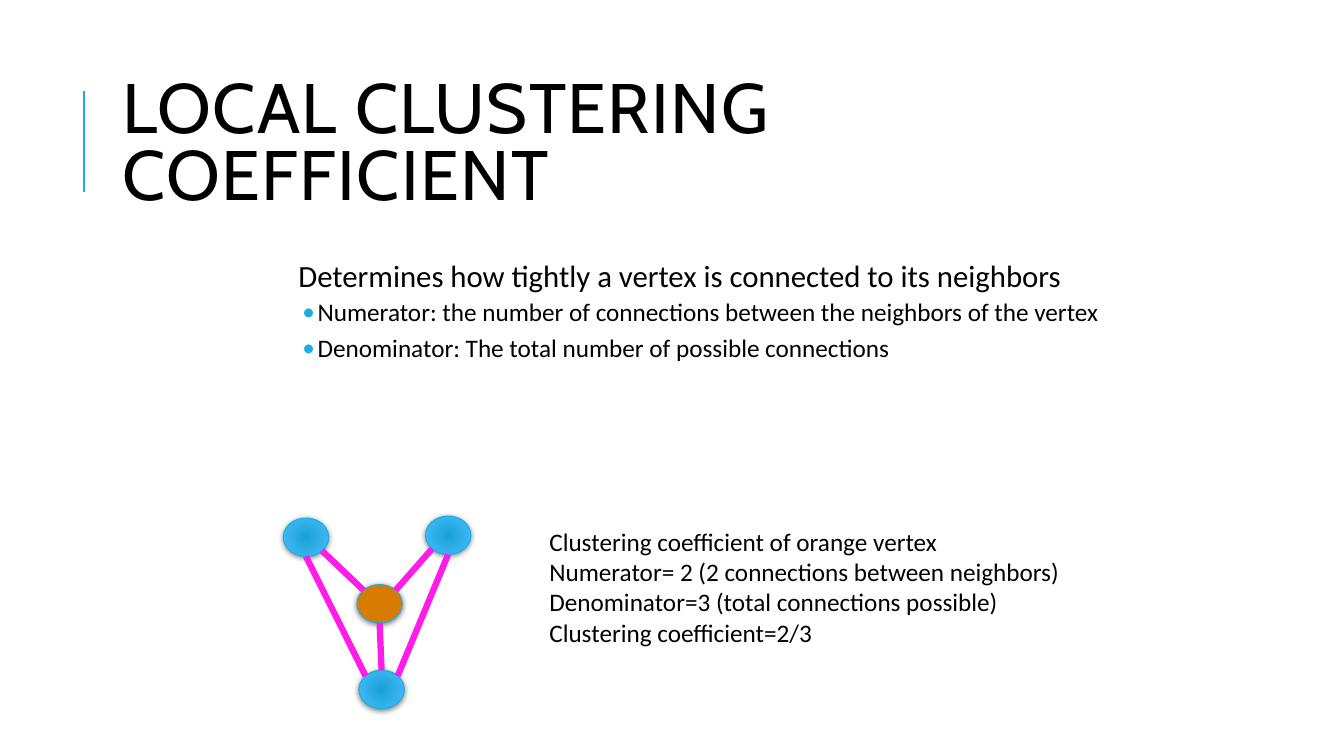
from math import cos, radians, sin

from lxml import etree
from pptx import Presentation, util as u
from pptx.dml.color import RGBColor
from pptx.enum import shapes, text
from pptx.oxml import parse_xml
from pptx.oxml.ns import nsdecls, qn

BLACK = RGBColor(0, 0, 0)
SKY = RGBColor(0x1C, 0xAD, 0xE4)
ORANGE = RGBColor(0xD7, 0x7C, 0x01)
PINK = RGBColor(0xFD, 0x1C, 0xE8)
NODE_CENTRE = RGBColor(0x1A, 0xA1, 0xD4)
NODE_RIM = RGBColor(0x48, 0xBF, 0xFF)

TITLE = "LOCAL CLUSTERING COEFFICIENT"
DEFINITION = [
    ("Determines how tightly a vertex is connected to its neighbors", 0),
    ("Numerator: the number of connections between the neighbors of the vertex", 1),
    ("Denominator: The total number of possible connections", 1),
]
EXAMPLE = [
    "Clustering coefficient of orange vertex",
    "Numerator= 2 (2 connections between neighbors)",
    "Denominator=3 (total connections possible)",
    "Clustering coefficient=2/3",
]
LEVELS = [
    dict(size=22, before=12, after=2, margin=0.1, hang=0, bullet=None),
    dict(size=18, before=2, after=4, margin=0.29, hang=0.15, bullet="•"),
]
NODE_W, NODE_H = 0.45, 0.38
VERTICES = {
    "left": (2.81, 5.14),
    "right": (4.22, 5.12),
    "orange": (3.54, 5.8),
    "bottom": (3.56, 6.65),
}
EDGES = [
    ("left", 90, "bottom", 225),
    ("right", 90, "bottom", 315),
    ("left", 45, "orange", 225),
    ("orange", 315, "right", 135),
    ("orange", 90, "bottom", 270),
]
GRADIENT = f"""<a:gradFill {nsdecls('a')}><a:gsLst>
<a:gs pos="0"><a:srgbClr val="{NODE_CENTRE}"/></a:gs>
<a:gs pos="100000"><a:srgbClr val="{NODE_RIM}"/></a:gs></a:gsLst>
<a:path path="circle"><a:fillToRect l="100000" t="100000" r="100000" b="100000"/></a:path>
</a:gradFill>"""
SHADOW = f"""<a:effectLst {nsdecls('a')}>
<a:outerShdw blurRad="{u.Pt(4)}" dist="{u.Pt(1)}" dir="5400000" rotWithShape="0">
<a:srgbClr val="000000"><a:alpha val="50000"/></a:srgbClr></a:outerShdw></a:effectLst>"""


def add_line(slide, start, end, color, width):
    """Draw a straight line without a shadow."""
    line = slide.shapes.add_connector(
        shapes.MSO_CONNECTOR.STRAIGHT, *(u.Inches(v) for v in (*start, *end)))
    line.line.color.rgb = color
    line.line.width = u.Pt(width)
    etree.SubElement(line._element.spPr, qn("a:effectLst"))


def add_text(slide, box, lines, font, size, anchor=text.MSO_ANCHOR.TOP):
    """Add a wrapped text box and return its frame."""
    frame = slide.shapes.add_textbox(*(u.Inches(v) for v in box)).text_frame
    frame.word_wrap = True
    frame.vertical_anchor = anchor
    frame.text = "\n".join(lines)
    for paragraph in frame.paragraphs:
        for run in paragraph.runs:
            run.font.name = font
            run.font.size = u.Pt(size)
            run.font.color.rgb = BLACK
    return frame


def style_level(paragraph, level):
    """Apply the spacing, indent and bullet of one outline level."""
    paragraph.line_spacing = 0.9
    paragraph.space_before = u.Pt(level["before"])
    paragraph.space_after = u.Pt(level["after"])
    paragraph.runs[0].font.size = u.Pt(level["size"])
    props = paragraph._p.get_or_add_pPr()
    props.set("marL", str(u.Inches(level["margin"])))
    props.set("indent", str(-u.Inches(level["hang"])))
    if level["bullet"]:
        color = etree.SubElement(props, qn("a:buClr"))
        etree.SubElement(color, qn("a:srgbClr"), val=str(SKY))
        etree.SubElement(props, qn("a:buFont"), typeface="Calibri")
        etree.SubElement(props, qn("a:buChar"), char=level["bullet"])


def add_vertex(slide, name):
    """Draw one vertex of the graph."""
    left, top = VERTICES[name]
    vertex = slide.shapes.add_shape(
        shapes.MSO_SHAPE.OVAL, *(u.Inches(v) for v in (left, top, NODE_W, NODE_H)))
    vertex.line.color.rgb = SKY
    vertex.line.width = u.Pt(0.75)
    props = vertex._element.spPr
    if name == "orange":
        vertex.fill.solid()
        vertex.fill.fore_color.rgb = ORANGE
    else:
        props.find(qn("a:prstGeom")).addnext(parse_xml(GRADIENT))
    props.append(parse_xml(SHADOW))


def rim(name, angle):
    """Return the point on a vertex's rim at a clockwise angle."""
    left, top = VERTICES[name]
    return (left + NODE_W / 2 * (1 + cos(radians(angle))),
            top + NODE_H / 2 * (1 + sin(radians(angle))))


def main():
    """Build the slide."""
    deck = Presentation()
    deck.slide_width, deck.slide_height = u.Inches(13.33), u.Inches(7.5)
    slide = deck.slides.add_slide(deck.slide_layouts[6])

    add_line(slide, (0.83, 1.9), (0.83, 0.9), SKY, 1.5)
    title = add_text(slide, (1.12, 0.64, 10.63, 1.64), [TITLE], "Cabin", 50,
                     text.MSO_ANCHOR.MIDDLE).paragraphs[0]
    title.line_spacing = 0.8
    title.runs[0].font._element.set("spc", "100")

    definition = add_text(slide, (2.81, 2.54, 8.18, 3.84),
                          [line for line, _ in DEFINITION], "Calibri", 18)
    definition.margin_left = definition.margin_right = u.Inches(0.05)
    definition.margin_top = definition.margin_bottom = u.Inches(0.05)
    for paragraph, (_, level) in zip(definition.paragraphs, DEFINITION):
        style_level(paragraph, LEVELS[level])

    for name in VERTICES:
        add_vertex(slide, name)
    for start, start_angle, end, end_angle in EDGES:
        add_line(slide, rim(start, start_angle), rim(end, end_angle), PINK, 4.5)

    add_text(slide, (5.35, 5.17, 5.65, 1.31), EXAMPLE, "Calibri", 18)
    deck.save("out.pptx")


if __name__ == "__main__":
    main()
